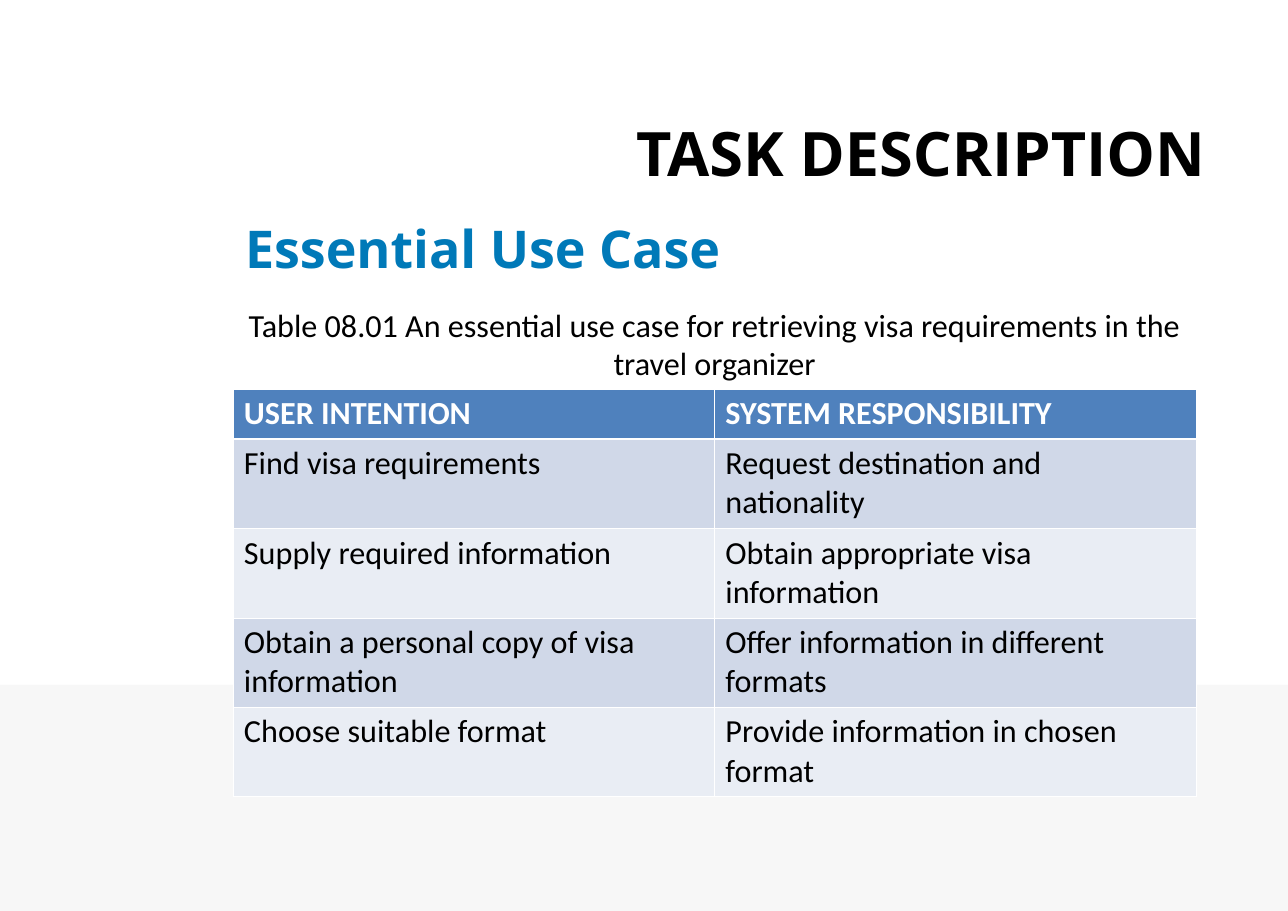
import pptx
import pptx.util
import pptx.dml.color
import pptx.enum.shapes
import pptx.enum.text
import pptx.oxml

RGBColor = pptx.dml.color.RGBColor
ALIGN = pptx.enum.text.PP_ALIGN
ANCHOR = pptx.enum.text.MSO_ANCHOR

HEADING = "TASK DESCRIPTION"
TITLE = "Essential Use Case"
CAPTION = "Table 08.01 An essential use case for retrieving visa requirements in the travel organizer"
ROWS = [
    ("USER INTENTION", "SYSTEM RESPONSIBILITY"),
    ("Find visa requirements", "Request destination and nationality"),
    ("Supply required information", "Obtain appropriate visa information"),
    ("Obtain a personal copy of visa information", "Offer information in different formats"),
    ("Choose suitable format", "Provide information in chosen format"),
]

BLACK = RGBColor(0x00, 0x00, 0x00)
WHITE = RGBColor(0xFF, 0xFF, 0xFF)
BLUE = RGBColor(0x00, 0x79, 0xB8)
GREY = RGBColor(0xF7, 0xF7, 0xF7)
HEADER = RGBColor(0x4F, 0x81, 0xBD)
BANDS = RGBColor(0xD0, 0xD8, 0xE8), RGBColor(0xE9, 0xED, 0xF4)

PX = 8298
WIDTH, HEIGHT = 1288, 911
LEFT, SPAN = 233, 963
BAND_TOP = 685
TABLE_TOP, TABLE_HEIGHT, HEADER_HEIGHT = 389, 408, 50
THIN, THICK = 0.45, 1.47


def px(*values):
    return [int(v * PX) for v in values]


def write(tf, text, size=21, font="Calibri", color=BLACK, bold=False,
          align=ALIGN.LEFT, anchor=ANCHOR.TOP, inset=(11, 5), wrap=True):
    tf.word_wrap = wrap
    tf.vertical_anchor = anchor
    tf.margin_left = tf.margin_right = inset[0] * PX
    tf.margin_top = tf.margin_bottom = inset[1] * PX
    p = tf.paragraphs[0]
    p.alignment = align
    r = p.add_run()
    r.text = text
    r.font.name = font
    r.font.size = pptx.util.Pt(size)
    r.font.bold = bold
    r.font.color.rgb = color


def set_borders(cell, **widths):
    tcPr = cell._tc.get_or_add_tcPr()
    for i, (side, width) in enumerate(widths.items()):
        tcPr.insert(i, pptx.oxml.parse_xml(
            f'<a:{side} xmlns:a="http://schemas.openxmlformats.org/drawingml/2006/main" '
            f'w="{pptx.util.Pt(width)}"><a:solidFill><a:srgbClr val="{WHITE}"/></a:solidFill></a:{side}>'))


def add_use_case_table(s):
    table = s.shapes.add_table(
        len(ROWS), len(ROWS[0]), *px(LEFT, TABLE_TOP, SPAN, TABLE_HEIGHT)).table
    table.horz_banding = False
    body_height = (TABLE_HEIGHT - HEADER_HEIGHT) / (len(ROWS) - 1)
    for i, row in enumerate(ROWS):
        head = i == 0
        table.rows[i].height = int((HEADER_HEIGHT if head else body_height) * PX)
        for j, text in enumerate(row):
            cell = table.cell(i, j)
            cell.fill.solid()
            cell.fill.fore_color.rgb = HEADER if head else BANDS[(i - 1) % 2]
            set_borders(cell, lnL=THIN, lnR=THIN,
                        lnT=THICK if i == 1 else THIN, lnB=THICK if head else THIN)
            cell.margin_left = cell.margin_right = 11 * PX
            cell.margin_top = cell.margin_bottom = 5 * PX
            write(cell.text_frame, text, color=WHITE if head else BLACK, bold=head)


def main():
    prs = pptx.Presentation()
    prs.slide_width, prs.slide_height = px(WIDTH, HEIGHT)
    s = prs.slides.add_slide(prs.slide_layouts[5])

    band = s.shapes.add_shape(pptx.enum.shapes.MSO_SHAPE.RECTANGLE,
                              *px(0, BAND_TOP, WIDTH, HEIGHT - BAND_TOP))
    band.shadow.inherit = False
    band.fill.solid()
    band.fill.fore_color.rgb = GREY
    band.line.fill.background()

    title = s.shapes.title
    title.left, title.top, title.width, title.height = px(LEFT, 195, SPAN, 105)
    write(title.text_frame, TITLE, size=34, font="Open Sans", color=BLUE,
          bold=True, anchor=ANCHOR.MIDDLE, inset=(12, 7))

    add_use_case_table(s)

    sp = s.shapes.add_textbox(*px(619, 108, 598, 86))
    write(sp.text_frame, HEADING, size=40, font="Open Sans", bold=True,
          align=ALIGN.RIGHT, inset=(12, 7), wrap=False)

    sp = s.shapes.add_textbox(*px(LEFT, 300, SPAN, 88))
    write(sp.text_frame, CAPTION, align=ALIGN.CENTER)

    prs.save("out.pptx")


if __name__ == "__main__":
    main()
